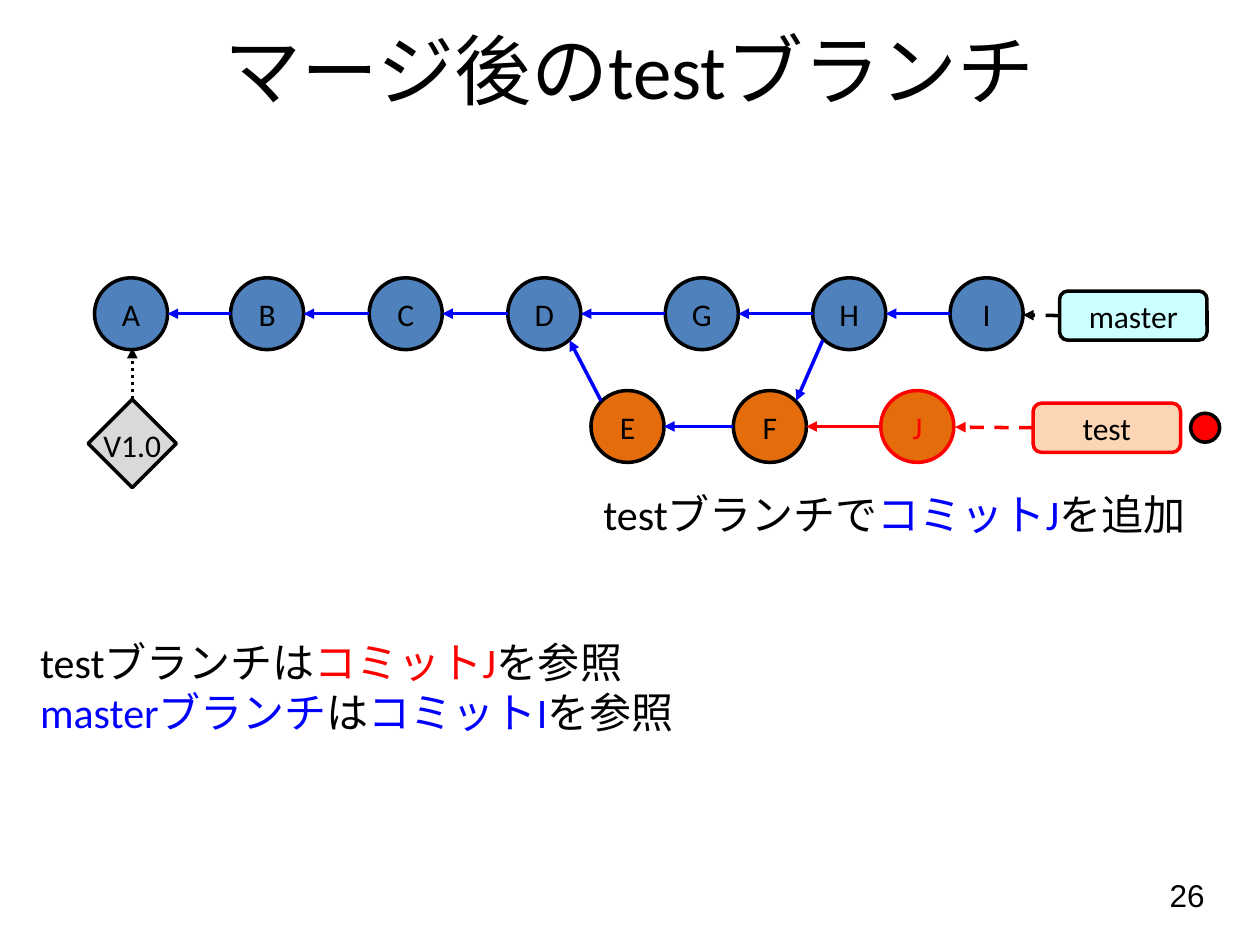
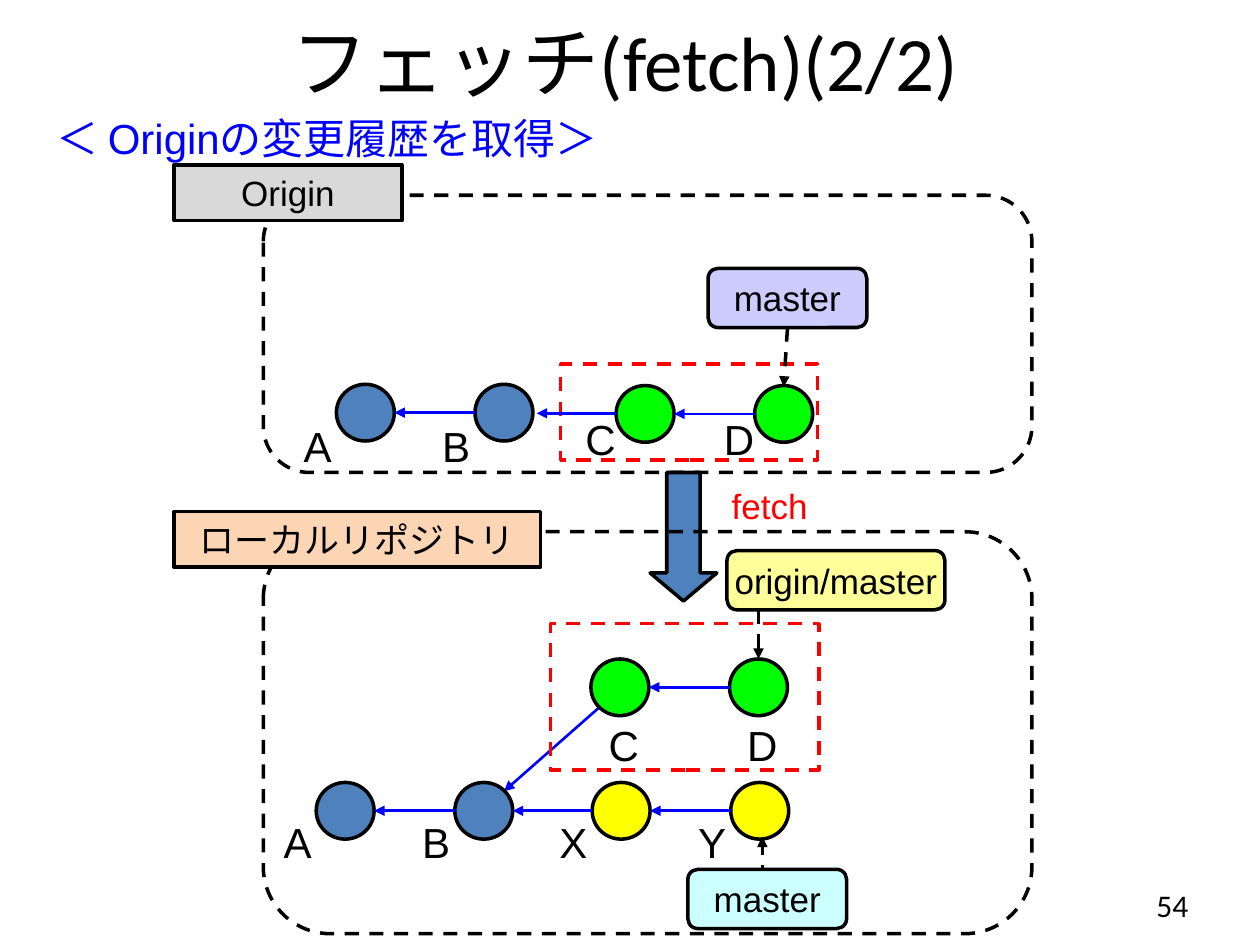
from dataclasses import dataclass
from itertools import pairwise
from typing import NamedTuple, Optional

from lxml import etree
from pptx import Presentation
from pptx.dml.color import RGBColor
from pptx.enum.dml import MSO_LINE
from pptx.enum.shapes import MSO_CONNECTOR, MSO_SHAPE
from pptx.enum.text import MSO_ANCHOR, MSO_AUTO_SIZE, PP_ALIGN
from pptx.oxml.ns import qn
from pptx.util import Emu, Inches, Pt

SLIDE_WIDTH, SLIDE_HEIGHT = Inches(10), Inches(7.5)
COLUMNS, ROWS = 100, 75
TITLE_ONLY = 5
OVAL, RECT, ROUNDED = MSO_SHAPE.OVAL, MSO_SHAPE.RECTANGLE, MSO_SHAPE.ROUNDED_RECTANGLE
DIAMOND, DOWN_ARROW = MSO_SHAPE.DIAMOND, MSO_SHAPE.DOWN_ARROW
STRAIGHT = MSO_CONNECTOR.STRAIGHT
DASH, DOTS = MSO_LINE.DASH, MSO_LINE.ROUND_DOT
LEFT, CENTER, RIGHT = PP_ALIGN.LEFT, PP_ALIGN.CENTER, PP_ALIGN.RIGHT
TOP, MIDDLE = MSO_ANCHOR.TOP, MSO_ANCHOR.MIDDLE
TOP_SIDE, LEFT_SIDE, BOTTOM_SIDE = 0, 1, 2


@dataclass(frozen=True)
class Theme:
    black: str = "000000"
    white: str = "FFFFFF"
    blue: str = "0000FF"
    red: str = "FF0000"
    shared: str = "4F81BD"
    branch: str = "E46C0A"
    fetched: str = "00FF00"
    local: str = "FFFF00"
    gray: str = "D9D9D9"
    peach: str = "FCD5B5"
    cyan: str = "CCFFFF"
    lilac: str = "CCCCFF"
    cream: str = "FFFF99"
    calibri: str = "Calibri"
    arial: str = "Arial"
    title: int = 44
    body: int = 24
    tag: int = 20
    small: int = 18
    outline: float = 2
    thin: float = 1.5


THEME = Theme()


class Box(NamedTuple):
    x: float
    y: float
    w: float
    h: float


class Point(NamedTuple):
    x: float
    y: float


class Span(NamedTuple):
    text: str
    color: str = THEME.black
    font: Optional[str] = None


class Style(NamedTuple):
    size: int
    font: str
    align: PP_ALIGN = CENTER
    anchor: MSO_ANCHOR = MIDDLE


BODY = Style(THEME.body, THEME.calibri, LEFT, TOP)
LETTER = Style(THEME.body, THEME.arial, LEFT, TOP)
NODE = Style(THEME.small, THEME.calibri)
TAG = Style(THEME.tag, THEME.arial)


@dataclass(frozen=True)
class Commit:
    label: str
    x: float
    fill: str
    edge: str = THEME.black
    link: str = THEME.blue


@dataclass(frozen=True)
class Chain:
    y: float
    commits: tuple[Commit, ...]
    width: float
    height: float
    link_width: float
    letter_offset: Optional[Point] = None


def col(n: float) -> Emu:
    return Emu(round(SLIDE_WIDTH * n / COLUMNS))


def row(n: float) -> Emu:
    return Emu(round(SLIDE_HEIGHT * n / ROWS))


def place(box: Box) -> tuple[Emu, Emu, Emu, Emu]:
    return col(box.x), row(box.y), col(box.w), row(box.h)


def write(frame, lines: list[list[Span]], style: Style) -> None:
    frame.vertical_anchor = style.anchor
    for index, spans in enumerate(lines):
        paragraph = frame.add_paragraph() if index else frame.paragraphs[0]
        paragraph.alignment = style.align
        for span in spans:
            run = paragraph.add_run()
            run.text = span.text
            run.font.size = Pt(style.size)
            run.font.name = span.font or style.font
            run.font.color.rgb = RGBColor.from_string(span.color)


def add_note(slide, box: Box, lines: list[list[Span]], style: Style = BODY, inset: bool = True) -> None:
    frame = slide.shapes.add_textbox(*place(box)).text_frame
    frame.word_wrap = True
    if not inset:
        frame.margin_left = frame.margin_right = frame.margin_top = frame.margin_bottom = 0
    write(frame, lines, style)


def add_node(slide, kind, box: Box, fill: Optional[str] = None, edge: Optional[str] = THEME.black,
             text: Optional[Span] = None, style: Style = NODE, dash=None):
    node = slide.shapes.add_shape(kind, *place(box))
    node.shadow.inherit = False
    if fill:
        node.fill.solid()
        node.fill.fore_color.rgb = RGBColor.from_string(fill)
    else:
        node.fill.background()
    if edge:
        node.line.color.rgb = RGBColor.from_string(edge)
        node.line.width = Pt(THEME.outline)
        node.line.dash_style = dash
    else:
        node.line.fill.background()
    if text:
        node.text_frame.word_wrap = False
        write(node.text_frame, [[text]], style)
    return node


def add_arrow(slide, start: Point, end: Point, color: str = THEME.black,
              width: float = THEME.outline, dash=None):
    arrow = slide.shapes.add_connector(STRAIGHT, col(start.x), row(start.y), col(end.x), row(end.y))
    arrow.line.color.rgb = RGBColor.from_string(color)
    arrow.line.width = Pt(width)
    arrow.line.dash_style = dash
    etree.SubElement(arrow.line._get_or_add_ln(), qn("a:tailEnd"), type="triangle")
    etree.SubElement(arrow._element.spPr, qn("a:effectLst"))
    return arrow


def add_pointer(slide, source, side: int, start: Point, end: Point,
                color: str = THEME.black, dash=DASH) -> None:
    add_arrow(slide, start, end, color, dash=dash).begin_connect(source, side)


def draw_chain(slide, chain: Chain) -> None:
    for commit in chain.commits:
        box = Box(commit.x, chain.y, chain.width, chain.height)
        offset = chain.letter_offset
        inner = None if offset else Span(commit.label, commit.edge)
        add_node(slide, OVAL, box, commit.fill, commit.edge, inner)
        if offset:
            letter_box = Box(commit.x + offset.x, chain.y + offset.y, 3.2, 4)
            add_note(slide, letter_box, [[Span(commit.label)]], LETTER, inset=False)
    middle = chain.y + chain.height / 2
    for parent, child in pairwise(chain.commits):
        add_arrow(slide, Point(child.x, middle), Point(parent.x + chain.width, middle),
                  child.link, chain.link_width)


def large_chain(y: float, *commits: Commit) -> Chain:
    return Chain(y, commits, 5.8, 5.7, THEME.outline)


def small_chain(y: float, offset: Point, *commits: Commit) -> Chain:
    return Chain(y, commits, 4.6, 4.5, THEME.thin, offset)


def start_slide(deck, title: str, title_box: Box, number: str, number_box: Box, number_style: Style):
    slide = deck.slides.add_slide(deck.slide_layouts[TITLE_ONLY])
    heading = slide.shapes.title
    heading.left, heading.top, heading.width, heading.height = place(title_box)
    frame = heading.text_frame
    frame.auto_size = MSO_AUTO_SIZE.NONE
    frame.word_wrap = True
    write(frame, [[Span(title)]], Style(THEME.title, THEME.calibri))
    add_note(slide, number_box, [[Span(number)]], number_style)
    return slide


def build_merge_slide(deck) -> None:
    slide = start_slide(deck, "マージ後のtestブランチ", Box(0, -0.8, 100, 12.5), "26",
                        Box(73.3, 69, 23.3, 5.2), Style(THEME.small, THEME.arial, RIGHT, TOP))
    add_note(slide, Box(46.9, 38.3, 51.6, 5),
             [[Span("testブランチで"), Span("コミットJ", THEME.blue), Span("を追加")]])
    master_commits = zip("ABCDGHI", (7.5, 18.3, 29.3, 40.3, 52.8, 64.5, 75.4))
    draw_chain(slide, large_chain(22.05, *(Commit(name, x, THEME.shared) for name, x in master_commits)))
    draw_chain(slide, large_chain(
        31,
        Commit("E", 46.9, THEME.branch),
        Commit("F", 58.2, THEME.branch),
        Commit("J", 69.9, THEME.branch, THEME.red, THEME.red)))
    add_arrow(slide, Point(47.7, 31.8), Point(45.2, 27), THEME.blue)
    add_arrow(slide, Point(65.3, 27), Point(63.2, 31.8), THEME.blue)

    version = add_node(slide, DIAMOND, Box(7, 31.7, 7, 7), THEME.gray)
    add_note(slide, Box(7, 33.3, 7, 4), [[Span("V1.0")]], NODE)
    add_pointer(slide, version, TOP_SIDE, Point(10.5, 31.7), Point(10.5, 27.6), dash=DOTS)
    test = add_node(slide, ROUNDED, Box(82, 32, 11.7, 3.9), THEME.peach, THEME.red, Span("test"))
    add_pointer(slide, test, LEFT_SIDE, Point(82, 34), Point(75.8, 33.9), THEME.red)
    master = add_node(slide, ROUNDED, Box(84.1, 23.1, 11.7, 3.9), THEME.cyan, text=Span("master"))
    add_pointer(slide, master, LEFT_SIDE, Point(84.1, 25.1), Point(81.2, 25))
    add_node(slide, OVAL, Box(94.5, 32.8, 2.3, 2.3), THEME.red)

    add_note(slide, Box(2.2, 50, 57, 9), [
        [Span("testブランチは"), Span("コミットJ", THEME.red), Span("を参照")],
        [Span("masterブランチ", THEME.blue), Span("は"), Span("コミットI", THEME.blue), Span("を参照")],
    ])


def draw_repository(slide, box: Box, tag_box: Box, name: str, tag_fill: str) -> None:
    add_node(slide, ROUNDED, box, dash=DASH)
    add_node(slide, RECT, tag_box, tag_fill, text=Span(name), style=TAG)


def build_fetch_slide(deck) -> None:
    slide = start_slide(deck, "フェッチ(fetch)(2/2)", Box(3.9, 0, 91.4, 9.7), "54",
                        Box(72, 69.8, 23.3, 4), Style(THEME.small, THEME.calibri, RIGHT))
    add_note(slide, Box(3.5, 8.4, 61.4, 5), [[
        Span("＜ ", THEME.blue),
        Span("Originの変更履歴を取得", THEME.blue, THEME.arial),
        Span("＞", THEME.blue)]])
    draw_repository(slide, Box(20.9, 15.5, 61, 22), Box(13.8, 13.1, 18.1, 4.4), "Origin", THEME.gray)
    add_node(slide, RECT, Box(57.1, 37.9, 8, 4.4), THEME.white, None, Span("fetch", THEME.red), TAG)

    add_arrow(slide, Point(47.5, 56.2), Point(40, 62.8), THEME.blue, THEME.thin)
    for fetched_area in (Box(44.5, 28.9, 20.4, 7.6), Box(43.7, 49.5, 21.3, 11.6)):
        add_node(slide, RECT, fetched_area, edge=THEME.red, dash=DASH)
    transfer = add_node(slide, DOWN_ARROW, Box(51.6, 37.5, 5.3, 10.2), THEME.shared)
    transfer.adjustments[1] = 0.42

    draw_chain(slide, small_chain(30.5, Point(-2.6, 2.9),
                                  Commit("A", 26.7, THEME.shared), Commit("B", 37.7, THEME.shared)))
    draw_chain(slide, small_chain(30.6, Point(-2.45, 2.2),
                                  Commit("C", 48.9, THEME.fetched), Commit("D", 59.9, THEME.fetched)))
    add_arrow(slide, Point(48.9, 32.8), Point(42.6, 32.8), THEME.blue, THEME.thin)
    draw_chain(slide, small_chain(52.3, Point(1.4, 4.8),
                                  Commit("C", 46.9, THEME.fetched), Commit("D", 57.9, THEME.fetched)))
    draw_chain(slide, small_chain(62.1, Point(-2.6, 2.7),
                                  Commit("A", 25.1, THEME.shared), Commit("B", 36.1, THEME.shared),
                                  Commit("X", 47, THEME.local), Commit("Y", 58, THEME.local)))

    origin_master = add_node(slide, ROUNDED, Box(56.2, 21.3, 12.6, 4.7), THEME.lilac,
                             text=Span("master"), style=TAG)
    add_pointer(slide, origin_master, BOTTOM_SIDE, Point(62.5, 26), Point(62.2, 30.7))
    add_arrow(slide, Point(60.2, 48.4), Point(60.2, 52.3), dash=DASH)
    add_node(slide, ROUNDED, Box(57.7, 43.7, 17.3, 4.7), THEME.cream, text=Span("origin/master"), style=TAG)
    add_arrow(slide, Point(60.5, 69.8), Point(60.5, 66.4), dash=DASH)
    add_node(slide, ROUNDED, Box(54.6, 69, 12.6, 4.7), THEME.cyan, text=Span("master"), style=TAG)
    draw_repository(slide, Box(20.9, 42.2, 61, 31.9), Box(13.8, 40.6, 29.1, 4.4),
                    "ローカルリポジトリ", THEME.peach)


def main() -> None:
    deck = Presentation()
    deck.slide_width, deck.slide_height = SLIDE_WIDTH, SLIDE_HEIGHT
    build_merge_slide(deck)
    build_fetch_slide(deck)
    deck.save("out.pptx")


if __name__ == "__main__":
    main()
